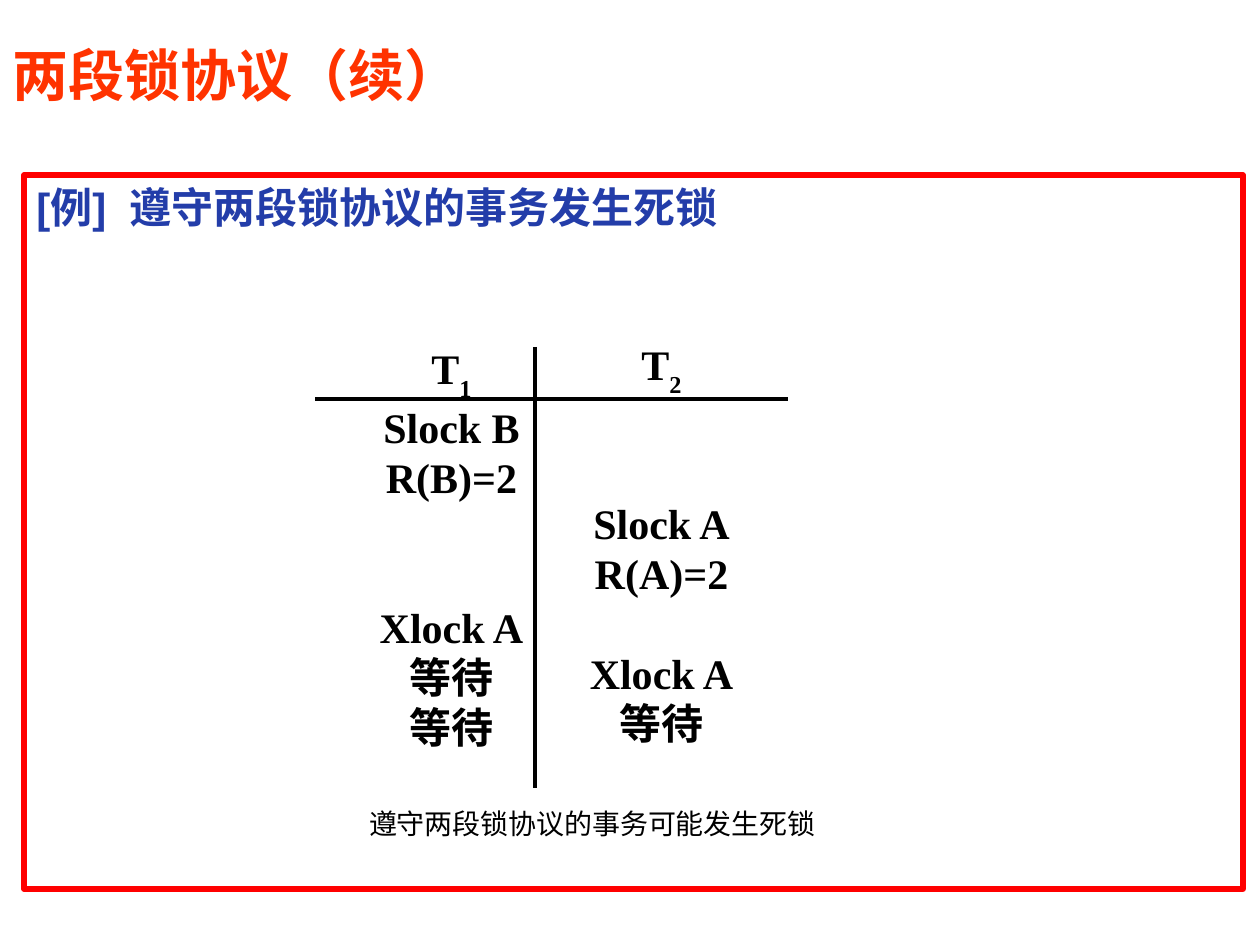
from pptx import Presentation
from pptx.dml.color import RGBColor
from pptx.enum.shapes import MSO_CONNECTOR as CONNECTOR, MSO_SHAPE as SHAPE
from pptx.enum.text import MSO_ANCHOR as ANCHOR, PP_ALIGN as ALIGN
from pptx.oxml.ns import qn
from pptx.util import Emu, Pt
from lxml.etree import SubElement

SCALE = 914400 / 126
LINE = 50
CJK = "Noto Sans CJK SC"
SERIF = "Times New Roman"


def px(length):
    """Turn px into EMU."""
    return Emu(round(length * SCALE))


def colour(code):
    """Turn a hex string into a colour."""
    return RGBColor.from_string(code)


def add_run(paragraph, text, size, font, code, bold=True, subscript=False):
    """Append one formatted run to a paragraph."""
    run = paragraph.add_run()
    run.text = text
    run.font.size = Pt(size)
    run.font.name = font
    run.font.bold = bold
    run.font.color.rgb = colour(code)
    properties = run.font._element
    SubElement(properties, qn("a:ea")).set("typeface", CJK)
    if subscript:
        properties.set("baseline", "-30000")


def set_title(slide, text):
    """Place and fill the title placeholder."""
    title = slide.shapes.title
    title.left, title.top, title.width, title.height = map(px, (0, 35, 1018, 78))
    title.text_frame.vertical_anchor = ANCHOR.MIDDLE
    heading = title.text_frame.paragraphs[0]
    heading.alignment = ALIGN.LEFT
    add_run(heading, text, 32, CJK, "FF3300")


def add_example(slide, text):
    """Draw the red frame with the example's heading."""
    frame = slide.shapes.add_shape(SHAPE.RECTANGLE, *map(px, (24, 175, 1219, 714)))
    frame.shadow.inherit = False
    frame.fill.background()
    frame.line.color.rgb = colour("FF0000")
    frame.line.width = Pt(3)
    frame.text_frame.word_wrap = True
    frame.text_frame.vertical_anchor = ANCHOR.TOP
    heading = frame.text_frame.paragraphs[0]
    heading.alignment = ALIGN.LEFT
    add_run(heading, text, 24, "Arial", "233DA9")


def add_text_box(slide, left, top, width, height):
    """Add an unwrapped text box and return its text frame."""
    box = slide.shapes.add_textbox(*map(px, (left, top, width, height)))
    box.text_frame.word_wrap = False
    return box.text_frame


def add_transaction(slide, left, top, inset, number, steps):
    """Write one schedule column; each step has its count of idle lines before."""
    column = add_text_box(slide, left, top, 169, 494)
    column.margin_top = px(inset)
    column.vertical_anchor = ANCHOR.TOP
    header = column.paragraphs[0]
    add_run(header, "T", 24, SERIF, "000000")
    add_run(header, number, 24, SERIF, "000000", subscript=True)
    for idle, action in steps:
        step = column.add_paragraph()
        step.space_before = px(idle * LINE)
        add_run(step, action, 24, SERIF, "000000")
    for paragraph in column.paragraphs:
        paragraph.alignment = ALIGN.CENTER
        paragraph.line_spacing = px(LINE)


def add_rule(slide, *ends):
    """Draw a black line between two points."""
    rule = slide.shapes.add_connector(CONNECTOR.STRAIGHT, *map(px, ends))
    rule.line.color.rgb = colour("000000")
    rule.line.width = Pt(2.25)
    SubElement(rule._element.spPr, qn("a:effectLst"))


def add_caption(slide, text):
    """Write the caption under the schedule."""
    caption = add_text_box(slide, 306, 800, 573, 50).paragraphs[0]
    caption.alignment = ALIGN.CENTER
    add_run(caption, text, 16, SERIF, "000000", bold=False)


def main():
    """Build the slide and save it."""
    deck = Presentation()
    deck.slide_width, deck.slide_height = px(1260), px(945)
    slide = deck.slides.add_slide(deck.slide_layouts[5])
    set_title(slide, "两段锁协议（续）")
    add_example(slide, "[例]  遵守两段锁协议的事务发生死锁")
    add_transaction(slide, 367, 325, 27, "1", [
        (0, "Slock B"), (0, "R(B)=2"), (2, "Xlock A"), (0, "等待"), (0, "等待")])
    add_transaction(slide, 577, 346, 2, "2", [
        (2, "Slock A"), (0, "R(A)=2"), (1, "Xlock A"), (0, "等待")])
    add_rule(slide, 315, 399, 788, 399)
    add_rule(slide, 535, 347, 535, 788)
    add_caption(slide, "遵守两段锁协议的事务可能发生死锁")
    deck.save("out.pptx")


if __name__ == "__main__":
    main()
